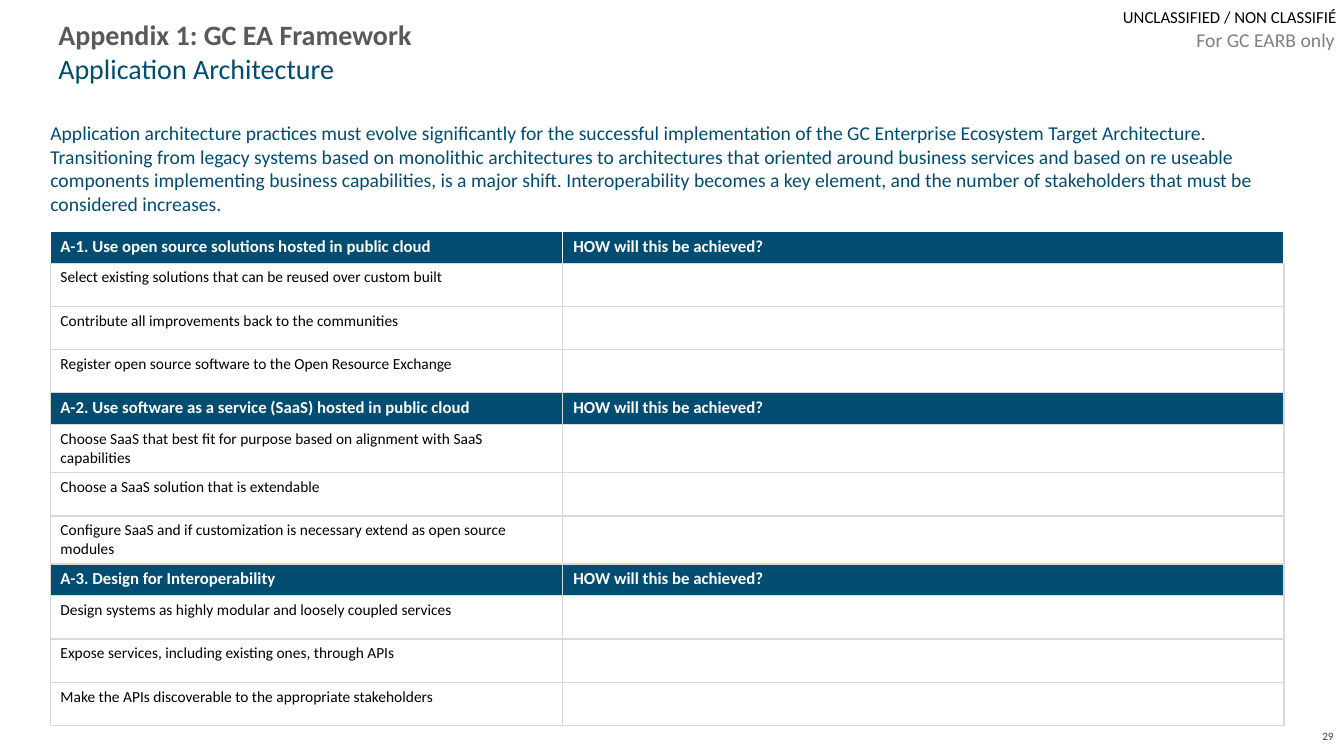
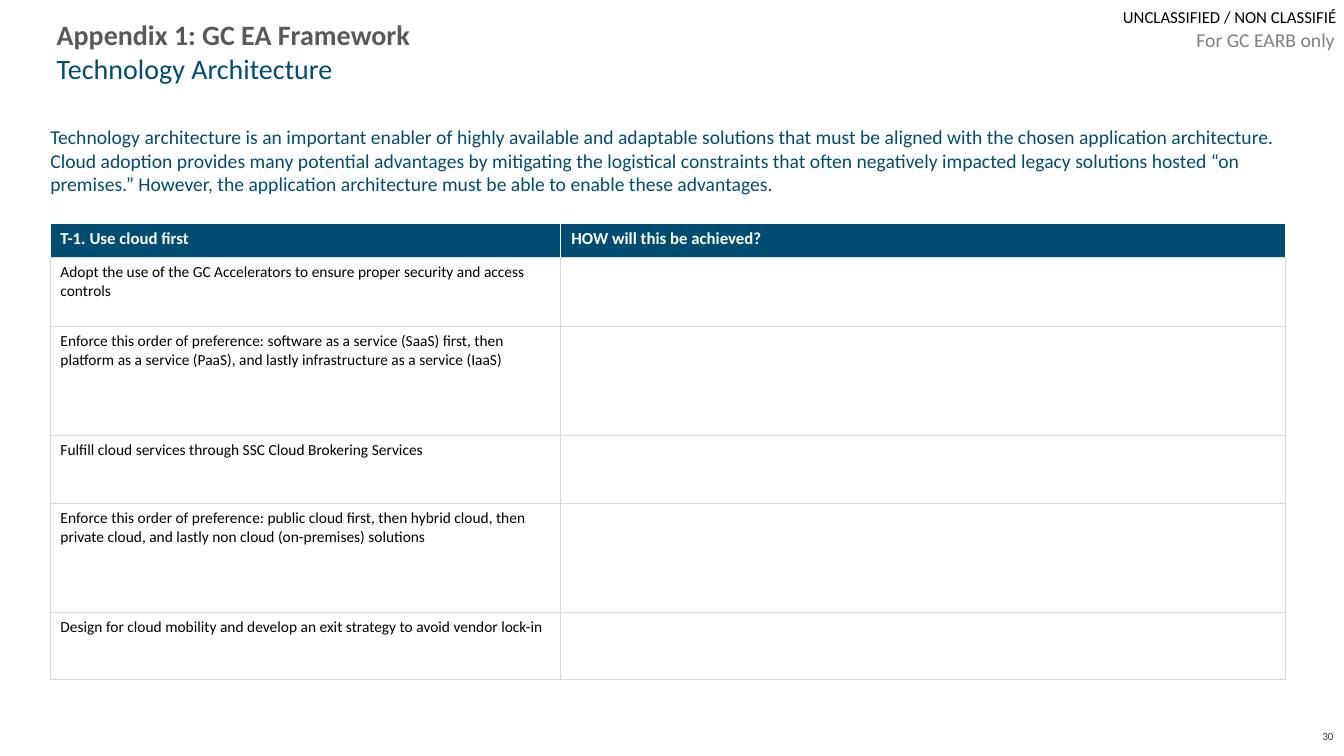
from lxml.etree import SubElement
from pptx import Presentation
from pptx.dml.color import RGBColor
from pptx.enum.text import MSO_ANCHOR, PP_ALIGN
from pptx.oxml.ns import qn
from pptx.util import Cm, Pt

COLORS = {"navy": "004D71", "title": "595959", "muted": "808080", "number": "404040",
          "black": "000000", "white": "FFFFFF", "grid": "D9D9D9"}
STYLES = {
    "title": {"size": Pt(20), "bold": True, "color": "title"},
    "subtitle": {"size": Pt(20), "bold": False, "color": "navy"},
    "intro": {"size": Pt(14), "bold": False, "color": "navy"},
    "marking": {"size": Pt(12), "bold": False, "color": "black"},
    "audience": {"size": Pt(14), "bold": False, "color": "muted"},
    "number": {"size": Pt(8), "bold": False, "color": "number"},
    "header": {"size": Pt(12), "bold": True, "color": "white"},
    "item": {"size": Pt(11), "bold": False, "color": "black"},
}
HOW = "HOW will this be achieved?"
LEFT = 1.27

SLIDES = [
    {
        "number": "29",
        "subtitle": "Application Architecture",
        "title_left": 1.47,
        "intro": "Application architecture practices must evolve significantly for the successful implementation of the GC Enterprise Ecosystem Target Architecture. Transitioning from legacy systems based on monolithic architectures to architectures that oriented around business services and based on re useable components implementing business capabilities, is a major shift. Interoperability becomes a key element, and the number of stakeholders that must be considered increases.",
        "intro_top": 3.05,
        "table_top": 5.83,
        "cols": [12.9, 18.19],
        "header_height": 0.8,
        "groups": [
            ("A-1. Use open source solutions hosted in public cloud", [
                ("Select existing solutions that can be reused over custom built", 1.09),
                ("Contribute all improvements back to the communities", 1.09),
                ("Register open source software to the Open Resource Exchange", 1.09),
            ]),
            ("A-2. Use software as a service (SaaS) hosted in public cloud", [
                ("Choose SaaS that best fit for purpose based on alignment with SaaS capabilities", 1.21),
                ("Choose a SaaS solution that is extendable", 1.09),
                ("Configure SaaS and if customization is necessary extend as open source modules", 1.21),
            ]),
            ("A-3. Design for Interoperability", [
                ("Design systems as highly modular and loosely coupled services", 1.09),
                ("Expose services, including existing ones, through APIs", 1.09),
                ("Make the APIs discoverable to the appropriate stakeholders", 1.09),
            ]),
        ],
    },
    {
        "number": "30",
        "subtitle": "Technology Architecture",
        "title_left": 1.43,
        "intro": "Technology architecture is an important enabler of highly available and adaptable solutions that must be aligned with the chosen application architecture. Cloud adoption provides many potential advantages by mitigating the logistical constraints that often negatively impacted legacy solutions hosted “on premises.” However, the application architecture must be able to enable these advantages.",
        "intro_top": 3.15,
        "table_top": 5.63,
        "cols": [12.85, 18.27],
        "header_height": 0.86,
        "groups": [
            ("T-1. Use cloud first", [
                ("Adopt the use of the GC Accelerators to ensure proper security and access controls", 1.74),
                ("Enforce this order of preference: software as a service (SaaS) first, then platform as a service (PaaS), and lastly infrastructure as a service (IaaS)", 2.75),
                ("Fulfill cloud services through SSC Cloud Brokering Services", 1.7),
                ("Enforce this order of preference: public cloud first, then hybrid cloud, then private cloud, and lastly non cloud (on-premises) solutions", 2.75),
                ("Design for cloud mobility and develop an exit strategy to avoid vendor lock-in", 1.7),
            ]),
        ],
    },
]


def add_run(p, text, style):
    r = p.add_run()
    r.text = text
    r.font.name = "Calibri"
    for name, value in STYLES[style].items():
        if name == "color":
            r.font.color.rgb = RGBColor.from_string(COLORS[value])
        else:
            setattr(r.font, name, value)


def set_borders(cell, colors):
    tcPr = cell._tc.get_or_add_tcPr()
    for i, (side, color) in enumerate(colors.items()):
        ln = SubElement(tcPr, qn(f"a:{side}"), w=str(Pt(1)))
        SubElement(SubElement(ln, qn("a:solidFill")), qn("a:srgbClr"), val=COLORS[color])
        tcPr.remove(ln)
        tcPr.insert(i, ln)


prs = Presentation()
prs.slide_width, prs.slide_height = Cm(33.87), Cm(19.05)

for data in SLIDES:
    s = prs.slides.add_slide(prs.slide_layouts[6])
    boxes = [
        ((28.3, 0.18, 5.49, 0.51), 0, MSO_ANCHOR.TOP, PP_ALIGN.LEFT,
         [("UNCLASSIFIED / NON CLASSIFIÉ", "marking")]),
        ((data["title_left"], 0.08, 19.47, 2.44), 0, MSO_ANCHOR.MIDDLE, PP_ALIGN.LEFT,
         [("Appendix 1: GC EA Framework", "title"), (data["subtitle"], "subtitle")]),
        ((LEFT, data["intro_top"], 31.12, 2.5), 0, MSO_ANCHOR.TOP, PP_ALIGN.LEFT,
         [(data["intro"], "intro")]),
        ((32.44, 18.03, 1.42, 1.02), 0.25, MSO_ANCHOR.MIDDLE, PP_ALIGN.RIGHT,
         [(data["number"], "number")]),
        ((29.72, 0.58, 4.17, 0.86), 0.25, MSO_ANCHOR.TOP, PP_ALIGN.RIGHT,
         [("For GC EARB only", "audience")]),
    ]
    for place, inset, anchor, align, lines in boxes:
        tf = s.shapes.add_textbox(*map(Cm, place)).text_frame
        frame = {"word_wrap": True, "vertical_anchor": anchor,
                 "margin_left": Cm(inset), "margin_right": Cm(inset),
                 "margin_top": Cm(inset / 2), "margin_bottom": Cm(inset / 2)}
        for name, value in frame.items():
            setattr(tf, name, value)
        p = tf.paragraphs[0]
        p.alignment = align
        for i, (text, style) in enumerate(lines):
            if i:
                p.add_line_break()
            add_run(p, text, style)

    rows = []
    for header, items in data["groups"]:
        rows.append(("header", data["header_height"], (header, HOW)))
        rows += [("item", height, (text, "")) for text, height in items]

    place = (LEFT, data["table_top"], sum(data["cols"]), sum(row[1] for row in rows))
    table = s.shapes.add_table(len(rows), 2, *map(Cm, place)).table
    table.horz_banding = False
    for col, width in zip(table.columns, data["cols"]):
        col.width = Cm(width)
    for i, (style, height, texts) in enumerate(rows):
        table.rows[i].height = Cm(height)
        edge = "grid" if i else "white"
        for j, text in enumerate(texts):
            cell = table.cell(i, j)
            cell.fill.solid()
            fill = "navy" if style == "header" else "white"
            cell.fill.fore_color.rgb = RGBColor.from_string(COLORS[fill])
            set_borders(cell, {"lnL": edge, "lnR": edge, "lnT": edge, "lnB": "grid"})
            p = cell.text_frame.paragraphs[0]
            if text:
                add_run(p, text, style)
            else:
                p.font.size = STYLES[style]["size"]
            if text == HOW:
                cell.margin_left = Cm(0.28)

prs.save("out.pptx")
